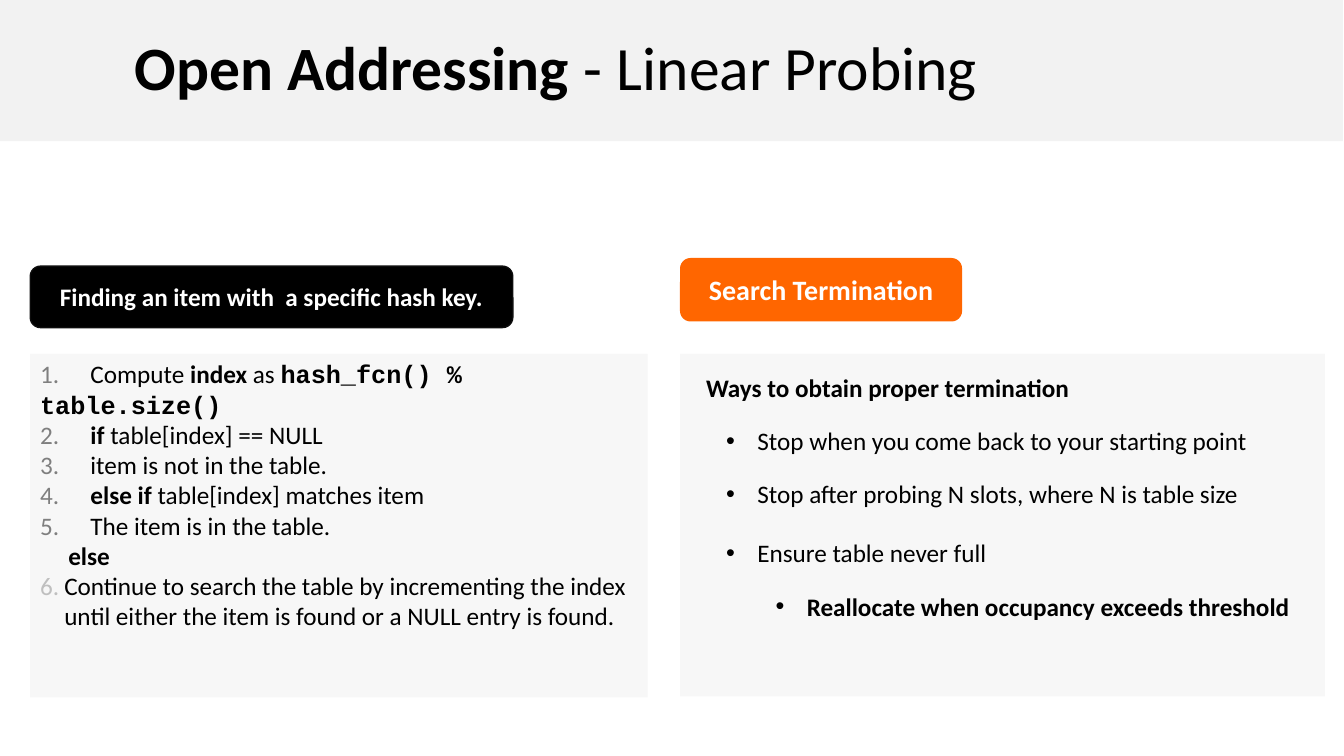
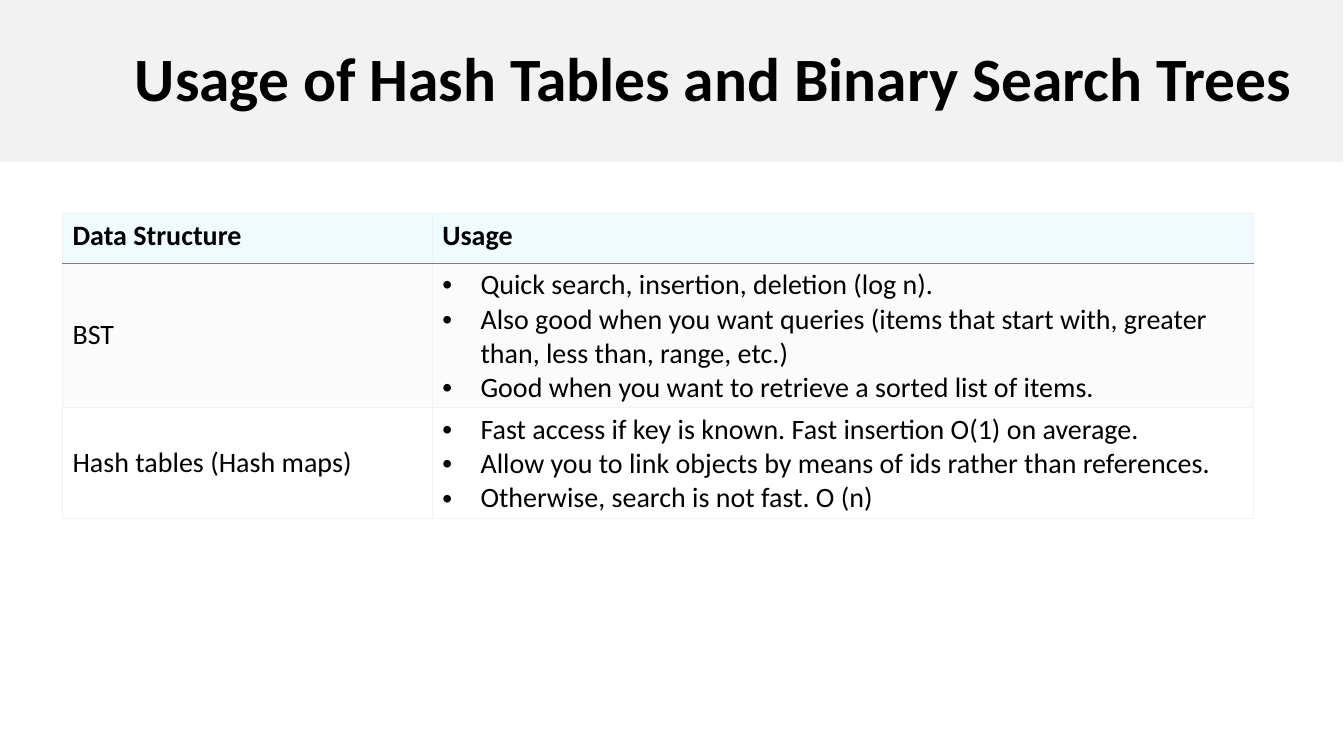
from lxml import etree
from pptx import Presentation
from pptx.dml.color import RGBColor
from pptx.enum.shapes import MSO_SHAPE
from pptx.enum.text import MSO_ANCHOR, PP_ALIGN
from pptx.oxml.ns import qn
from pptx.util import Inches, Pt

RECT, ROUND = MSO_SHAPE.RECTANGLE, MSO_SHAPE.ROUNDED_RECTANGLE
TOP, MID = MSO_ANCHOR.TOP, MSO_ANCHOR.MIDDLE
LEFT, MIDST = PP_ALIGN.LEFT, PP_ALIGN.CENTER

BLACK = RGBColor(0x00, 0x00, 0x00)
WHITE = RGBColor(0xFF, 0xFF, 0xFF)
BAND = RGBColor(0xF2, 0xF2, 0xF2)
PANEL = RGBColor(0xF7, 0xF7, 0xF7)
ORANGE = RGBColor(0xFF, 0x66, 0x00)
EDGE = RGBColor(0x0D, 0x0D, 0x0D)
GREY = RGBColor(0x7F, 0x7F, 0x7F)
PALE = RGBColor(0xBF, 0xBF, 0xBF)
SKY = RGBColor(0xEF, 0xFB, 0xFF)
MIST = RGBColor(0xFB, 0xFB, 0xFB)

BOLD = {"bold": True}
CODE = {"bold": True, "name": "Courier New"}
NUM = {"color": GREY}


class Deck:
    """Slides in one style, drawn on the current slide."""

    def __init__(self):
        self.file = Presentation()
        self.file.slide_width = Inches(13.34)
        self.file.slide_height = Inches(7.5)
        self.slide = None

    def new(self, runs, high):
        self.slide = self.file.slides.add_slide(self.file.slide_layouts[6])
        band = self.box(RECT, (0, 0, 13.33, high), BAND)
        self.frame(band.text_frame, [{"runs": runs, "line_spacing": 0.9}],
                   44, MID, left=1.34)

    def box(self, kind, place, fill, line=None):
        shape = self.slide.shapes.add_shape(kind, *map(Inches, place))
        shape.shadow.inherit = False
        shape.fill.solid()
        shape.fill.fore_color.rgb = fill
        if line is None:
            shape.line.fill.background()
        else:
            shape.line.color.rgb = line
            shape.line.width = Pt(1)
        return shape

    def tag(self, text, place, fill, size, line=None):
        shape = self.box(ROUND, place, fill, line)
        run = (text, {"bold": True, "color": WHITE})
        self.frame(shape.text_frame, [{"runs": [run], "alignment": MIDST}], size, MID)

    def text(self, place, paras, size):
        shape = self.slide.shapes.add_textbox(*map(Inches, place))
        self.frame(shape.text_frame, paras, size)

    def frame(self, frame, paras, size, anchor=TOP, left=0.1):
        form = {"word_wrap": True, "vertical_anchor": anchor,
                "margin_left": Inches(left), "margin_right": Inches(0.1),
                "margin_top": Inches(0.05), "margin_bottom": Inches(0.05)}
        for key, val in form.items():
            setattr(frame, key, val)
        self.fill(frame, paras, size)

    def fill(self, frame, paras, size):
        for spot, item in enumerate(paras):
            para = frame.add_paragraph() if spot else frame.paragraphs[0]
            form = {"alignment": LEFT, **item}
            runs = form.pop("runs")
            self.mark(para, form.pop("indent", 0), form.pop("hang", 0),
                      form.pop("bullet", None), form.pop("tab", None))
            for key, val in form.items():
                setattr(para, key, val)
            for text, look in runs:
                run = para.add_run()
                run.text = text
                font = {"name": "Calibri", "size": Pt(size), "bold": False,
                        "color": BLACK, **look}
                run.font.color.rgb = font.pop("color")
                for key, val in font.items():
                    setattr(run.font, key, val)

    def mark(self, para, indent, hang, bullet, tab):
        prop = para._p.get_or_add_pPr()
        prop.set("marL", str(Inches(indent)))
        prop.set("indent", str(-Inches(hang)))
        if bullet:
            color, kind, attrs = bullet
            tint = etree.SubElement(prop, qn("a:buClr"))
            etree.SubElement(tint, qn("a:srgbClr"), val=str(color))
            if kind == "a:buChar":
                etree.SubElement(prop, qn("a:buFont"), typeface="Arial")
            etree.SubElement(prop, qn(kind), **attrs)
        if tab:
            tabs = etree.SubElement(prop, qn("a:tabLst"))
            etree.SubElement(tabs, qn("a:tab"), pos=str(Inches(tab)), algn="l")

    def table(self, place, cols, rows, size):
        shape = self.slide.shapes.add_table(len(rows), len(cols), *map(Inches, place))
        grid = shape.table
        grid.first_row = grid.horz_banding = False
        for col, wide in zip(grid.columns, cols):
            col.width = Inches(wide)
        for spot, (high, fill, anchor, cells) in enumerate(rows):
            grid.rows[spot].height = Inches(high)
            for cell, paras in zip(grid.rows[spot].cells, cells):
                self.edge(cell, GREY if spot == 1 else BAND, GREY if spot == 0 else BAND)
                cell.fill.solid()
                cell.fill.fore_color.rgb = fill
                cell.vertical_anchor = anchor
                self.fill(cell.text_frame, paras, size)

    def edge(self, cell, top, base):
        prop = cell._tc.get_or_add_tcPr()
        for side, color in zip("LRTB", (BAND, BAND, top, base)):
            line = etree.SubElement(prop, qn("a:ln" + side), w=str(Pt(0.45)))
            solid = etree.SubElement(line, qn("a:solidFill"))
            etree.SubElement(solid, qn("a:srgbClr"), val=str(color))


DOT = (BLACK, "a:buChar", {"char": "•"})
SIXTH = (PALE, "a:buAutoNum", {"type": "arabicPeriod", "startAt": "6"})


def plain(text, look=None, **form):
    return {"runs": [(text, look or {})], **form}


def step(num, tab, *runs):
    return {"runs": [(f"{num}.\t", NUM), *runs], "tab": tab}


def point(text, gap, look=None, indent=0.51):
    return plain(text, look, indent=indent, hang=0.31, bullet=DOT, space_before=Pt(gap))


def dots(*texts):
    return [plain(text, indent=0.38, hang=0.38, bullet=DOT) for text in texts]


def probing(deck):
    deck.new([("Open Addressing ", BOLD), ("- Linear Probing", {})], 1.4)
    deck.tag("Search Termination", (6.75, 2.56, 2.8, 0.63), ORANGE, 20)
    steps = deck.box(RECT, (0.3, 3.51, 6.13, 3.41), PANEL)
    deck.frame(steps.text_frame, [
        step(1, 0.3, ("Compute ", {}), ("index", BOLD), (" as ", {}),
             ("hash_fcn() % table.size()", CODE)),
        step(2, 0.3, ("if", BOLD), (" table[index] == NULL", {})),
        step(3, 0.93, ("item is not in the table.", {})),
        step(4, 0.3, ("else if", BOLD), (" table[index] matches item", {})),
        step(5, 0.87, ("The item is in the table.", {})),
        plain("else", BOLD, indent=0.28),
        plain("Continue to search the table by incrementing the index until "
              "either the item is found or a NULL entry is found.",
              indent=0.24, hang=0.24, bullet=SIXTH),
    ], 18)
    deck.box(RECT, (6.75, 3.51, 6.4, 3.4), PANEL)
    deck.text((6.91, 3.64, 6.2, 2.59), [
        plain("Ways to obtain proper termination", BOLD),
        point("Stop when you come back to your starting point", 16.5),
        point("Stop after probing N slots, where N is table size", 16.5),
        point("Ensure table never full", 20.5),
        point("Reallocate when occupancy exceeds threshold", 16.5, BOLD, 1),
    ], 18)
    deck.tag("Finding an item with  a specific hash key.",
             (0.3, 2.64, 4.79, 0.61), BLACK, 18, EDGE)


def usage(deck):
    deck.new([("Usage of Hash Tables and Binary Search Trees", BOLD)], 1.61)
    deck.table((0.62, 2.12, 11.82, 3.02), (3.67, 8.15), [
        (0.49, SKY, TOP, [[plain("Data Structure", BOLD)], [plain("Usage", BOLD)]]),
        (1.43, MIST, MID, [[plain("BST")], dots(
            "Quick search, insertion, deletion (log n).",
            "Also good when you want queries (items that start with, greater "
            "than, less than, range, etc.)",
            "Good when you want to retrieve a sorted list of items.")]),
        (1.1, WHITE, MID, [[plain("Hash tables (Hash maps)")], dots(
            "Fast access if key is known. Fast insertion O(1) on average.",
            "Allow you to link objects by means of ids rather than references.",
            "Otherwise, search is not fast. O (n)")]),
    ], 20)


def main():
    deck = Deck()
    probing(deck)
    usage(deck)
    deck.file.save("out.pptx")


if __name__ == "__main__":
    main()
